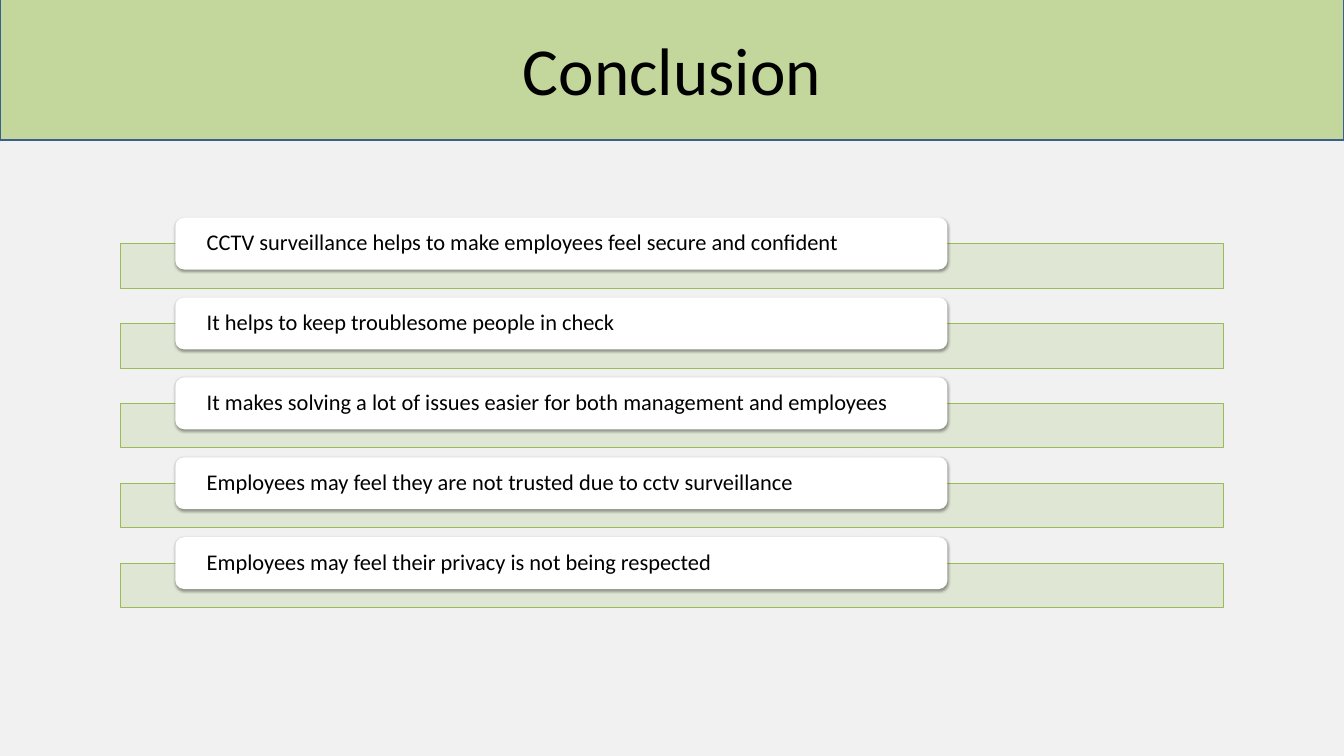
from lxml.etree import SubElement
from pptx import Presentation
from pptx.dml.color import RGBColor
from pptx.enum.shapes import MSO_SHAPE as Preset
from pptx.enum.text import MSO_ANCHOR as Anchor, MSO_AUTO_SIZE as AutoSize, PP_ALIGN as Align
from pptx.oxml.ns import qn
from pptx.util import Cm, Pt

HEADING = "Conclusion"
CONCLUSIONS = [
    "CCTV surveillance helps to make employees feel secure and confident",
    "It helps to keep troublesome people in check",
    "It makes solving a lot of issues easier for both management and employees",
    "Employees may feel they are not trusted due to cctv surveillance",
    "Employees may feel their privacy is not being respected",
]

FONT = "Calibri"
BACKGROUND = RGBColor(0xF1, 0xF1, 0xF1)
BANNER = RGBColor(0xC3, 0xD6, 0x9B)
BANNER_EDGE = RGBColor(0x3A, 0x5F, 0x8C)
BAND = RGBColor(0xDE, 0xE7, 0xD1)
BAND_EDGE = RGBColor(0x9B, 0xBB, 0x59)
WHITE = RGBColor(0xFF, 0xFF, 0xFF)
BLACK = RGBColor(0x00, 0x00, 0x00)

# Lengths in centimetres
SLIDE_WIDTH, SLIDE_HEIGHT = 50.8, 28.58
BANNER_TOP, BANNER_HEIGHT = -0.1, 5.38
BAND_LEFT, BAND_WIDTH, BAND_HEIGHT = 4.55, 41.7, 1.68
CARD_LEFT, CARD_WIDTH, CARD_HEIGHT = 6.63, 29.18, 1.96
FIRST_CARD_TOP, ROW_PITCH = 8.23, 3.02
BAND_DROP = 0.98
CARD_INSET = 1.09


def write(shape, text, *, size, align=Align.LEFT, inset=0.25, line_spacing=1.0):
    frame = shape.text_frame
    frame.word_wrap = True
    frame.auto_size = AutoSize.NONE
    frame.vertical_anchor = Anchor.MIDDLE
    frame.margin_left = frame.margin_right = Cm(inset)
    frame.margin_top = frame.margin_bottom = 0
    frame.text = text
    paragraph = frame.paragraphs[0]
    paragraph.alignment = align
    paragraph.line_spacing = line_spacing
    font = paragraph.runs[0].font
    font.name, font.size, font.color.rgb = FONT, Pt(size), BLACK


def paint(shape, fill, edge=None, edge_width=0):
    shape.fill.solid()
    shape.fill.fore_color.rgb = fill
    if edge is None:
        shape.line.fill.background()
    else:
        shape.line.color.rgb = edge
        shape.line.width = Pt(edge_width)


def add_box(slide, preset, left, top, width, height):
    box = slide.shapes.add_shape(preset, Cm(left), Cm(top), Cm(width), Cm(height))
    box.shadow.inherit = False
    return box


def set_opacity(shape, percent):
    color = shape.fill._xPr.find(qn("a:solidFill"))[0]
    SubElement(color, qn("a:alpha"), val=str(percent * 1000))


def add_drop_shadow(shape):
    effects = shape._element.spPr.find(qn("a:effectLst"))
    shadow = SubElement(effects, qn("a:outerShdw"), blurRad="40000", dist="20000",
                        dir="5400000", rotWithShape="0")
    color = SubElement(shadow, qn("a:srgbClr"), val=str(BLACK))
    SubElement(color, qn("a:alpha"), val="38000")


def main():
    deck = Presentation()
    deck.slide_width, deck.slide_height = Cm(SLIDE_WIDTH), Cm(SLIDE_HEIGHT)
    slide = deck.slides.add_slide(deck.slide_layouts[5])
    slide.background.fill.solid()
    slide.background.fill.fore_color.rgb = BACKGROUND

    banner = slide.shapes.title
    banner.left, banner.top = 0, Cm(BANNER_TOP)
    banner.width, banner.height = Cm(SLIDE_WIDTH), Cm(BANNER_HEIGHT)
    paint(banner, BANNER, BANNER_EDGE, 2)
    write(banner, HEADING, size=72, align=Align.CENTER)

    for row, conclusion in enumerate(CONCLUSIONS):
        top = FIRST_CARD_TOP + row * ROW_PITCH
        band = add_box(slide, Preset.RECTANGLE, BAND_LEFT, top + BAND_DROP, BAND_WIDTH, BAND_HEIGHT)
        paint(band, BAND, BAND_EDGE, 0.75)
        set_opacity(band, 90)

        card = add_box(slide, Preset.ROUNDED_RECTANGLE, CARD_LEFT, top, CARD_WIDTH, CARD_HEIGHT)
        paint(card, WHITE)
        add_drop_shadow(card)
        write(card, conclusion, size=24, inset=CARD_INSET, line_spacing=0.9)

    deck.save("out.pptx")


if __name__ == "__main__":
    main()
